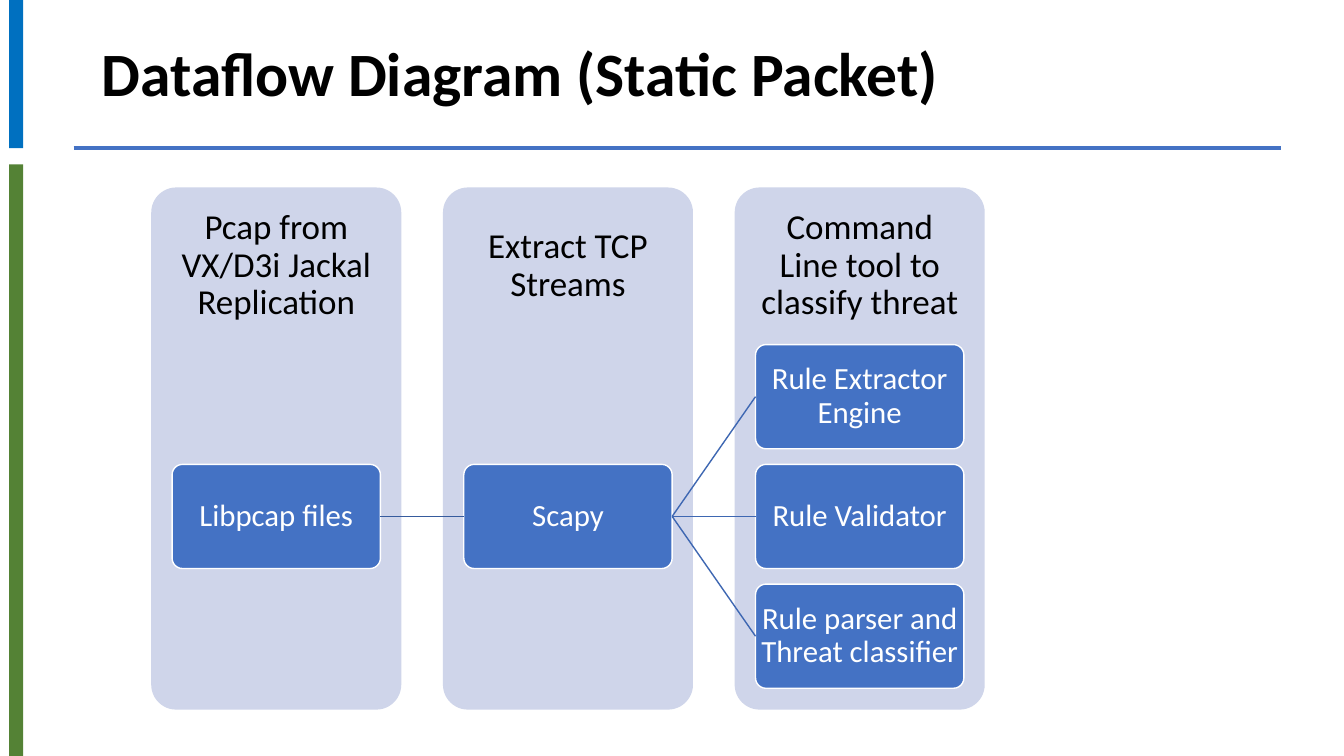
from dataclasses import dataclass

from lxml.etree import SubElement
from pptx import Presentation
from pptx.dml.color import RGBColor
from pptx.enum.shapes import MSO_CONNECTOR as Connector, MSO_SHAPE as Preset
from pptx.enum.text import MSO_ANCHOR as Anchor, PP_ALIGN as Align
from pptx.oxml.ns import qn
from pptx.util import Inches, Pt


@dataclass(frozen=True)
class Theme:
    font: str = "Calibri"
    ink: str = "000000"
    white: str = "FFFFFF"
    blue: str = "0070C0"
    green: str = "548235"
    lane: str = "CFD5EA"
    card: str = "4472C4"
    first_link: str = "365B9D"
    second_link: str = "3E67B2"
    title_size: float = 44
    heading_size: float = 25
    card_size: float = 22


@dataclass(frozen=True)
class Box:
    left: float
    top: float
    width: float
    height: float

    def lengths(self):
        return [Inches(v) for v in (self.left, self.top, self.width, self.height)]


@dataclass(frozen=True)
class Style:
    size: float
    color: str
    bold: bool = False
    align: Align = Align.CENTER
    side_inset: float = 0.1
    end_inset: float = 0.05


@dataclass(frozen=True)
class Lane:
    heading: str
    cards: tuple[str, ...]


THEME = Theme()
LANES = (
    Lane("Pcap from VX/D3i Jackal Replication", ("Libpcap files",)),
    Lane("Extract TCP Streams", ("Scapy",)),
    Lane("Command Line tool to classify threat",
         ("Rule Extractor Engine", "Rule Validator", "Rule parser and Threat classifier")),
)
LINK_COLORS = (THEME.first_link, THEME.second_link)

# Lane grid: a gap is a sixth of a lane, a card margin a twelfth
LANE_LEFT, LANE_TOP, LANE_WIDTH, LANE_HEIGHT = 1.5, 1.86, 2.48, 5.18
LANE_STEP = LANE_WIDTH * 7 / 6
CARD_MARGIN = LANE_WIDTH / 12
CARD_WIDTH = LANE_WIDTH - 2 * CARD_MARGIN
CARD_HEIGHT = CARD_WIDTH / 2
CARD_STEP = CARD_HEIGHT * 1.15
HEADING_HEIGHT = LANE_HEIGHT * 0.3
CARD_MIDDLE = LANE_TOP + LANE_HEIGHT * 0.63

TITLE = Style(THEME.title_size, THEME.ink, bold=True, align=Align.LEFT)
HEADING = Style(THEME.heading_size, THEME.ink, side_inset=0.19, end_inset=0.19)
CARD = Style(THEME.card_size, THEME.white, side_inset=0.02, end_inset=0.02)


def apply(target, values: dict) -> None:
    for name, value in values.items():
        setattr(target, name, value)


def write(shape, text: str, style: Style) -> None:
    frame = shape.text_frame
    side, end = Inches(style.side_inset), Inches(style.end_inset)
    apply(frame, {"word_wrap": True, "vertical_anchor": Anchor.MIDDLE,
                  "margin_left": side, "margin_right": side,
                  "margin_top": end, "margin_bottom": end})
    para = frame.paragraphs[0]
    apply(para, {"alignment": style.align, "line_spacing": 0.9})
    span = para.add_run()
    span.text = text
    apply(span.font, {"name": THEME.font, "size": Pt(style.size), "bold": style.bold})
    span.font.color.rgb = RGBColor.from_string(style.color)


def add_text(page, box: Box, text: str, style: Style) -> None:
    write(page.shapes.add_textbox(*box.lengths()), text, style)


def add_panel(page, box: Box, fill: str, preset=Preset.RECTANGLE, outline: str = ""):
    panel = page.shapes.add_shape(preset, *box.lengths())
    panel.shadow.inherit = False
    panel.fill.solid()
    panel.fill.fore_color.rgb = RGBColor.from_string(fill)
    if preset == Preset.ROUNDED_RECTANGLE:
        panel.adjustments[0] = 0.1
    if outline:
        panel.line.color.rgb = RGBColor.from_string(outline)
        panel.line.width = Pt(1)
    else:
        panel.line.fill.background()
    return panel


def add_line(page, color: str, width: float, ends=(0, 0, 0, 0)):
    line = page.shapes.add_connector(Connector.STRAIGHT, *map(Inches, ends))
    line.line.color.rgb = RGBColor.from_string(color)
    line.line.width = Pt(width)
    SubElement(line._element.spPr, qn("a:effectLst"))
    return line


def add_lane(page, lane: Lane, column: int) -> list:
    """Draw a lane with its heading and return its cards."""
    left = LANE_LEFT + column * LANE_STEP
    add_panel(page, Box(left, LANE_TOP, LANE_WIDTH, LANE_HEIGHT),
              THEME.lane, Preset.ROUNDED_RECTANGLE)
    add_text(page, Box(left, LANE_TOP, LANE_WIDTH, HEADING_HEIGHT), lane.heading, HEADING)
    first_top = CARD_MIDDLE - CARD_HEIGHT / 2 - CARD_STEP * (len(lane.cards) - 1) / 2
    cards = []
    for row, text in enumerate(lane.cards):
        box = Box(left + CARD_MARGIN, first_top + row * CARD_STEP, CARD_WIDTH, CARD_HEIGHT)
        card = add_panel(page, box, THEME.card, Preset.ROUNDED_RECTANGLE, THEME.white)
        write(card, text, CARD)
        cards.append(card)
    return cards


def main() -> None:
    deck = Presentation()
    apply(deck, {"slide_width": Inches(13.33), "slide_height": Inches(7.5)})
    page = deck.slides.add_slide(deck.slide_layouts[6])

    add_text(page, Box(0.91, 0.14, 11.5, 1.23), "Dataflow Diagram (Static Packet)", TITLE)
    add_panel(page, Box(0.09, 0, 0.14, 1.47), THEME.blue)
    add_panel(page, Box(0.09, 1.63, 0.14, 5.87), THEME.green)
    add_line(page, THEME.card, 3, (0.73, 1.47, 12.71, 1.47))

    columns = [add_lane(page, lane, column) for column, lane in enumerate(LANES)]
    for sources, targets, color in zip(columns, columns[1:], LINK_COLORS):
        for target in targets:
            link = add_line(page, color, 1)
            link.begin_connect(sources[0], 3)
            link.end_connect(target, 1)

    deck.save("out.pptx")


if __name__ == "__main__":
    main()
